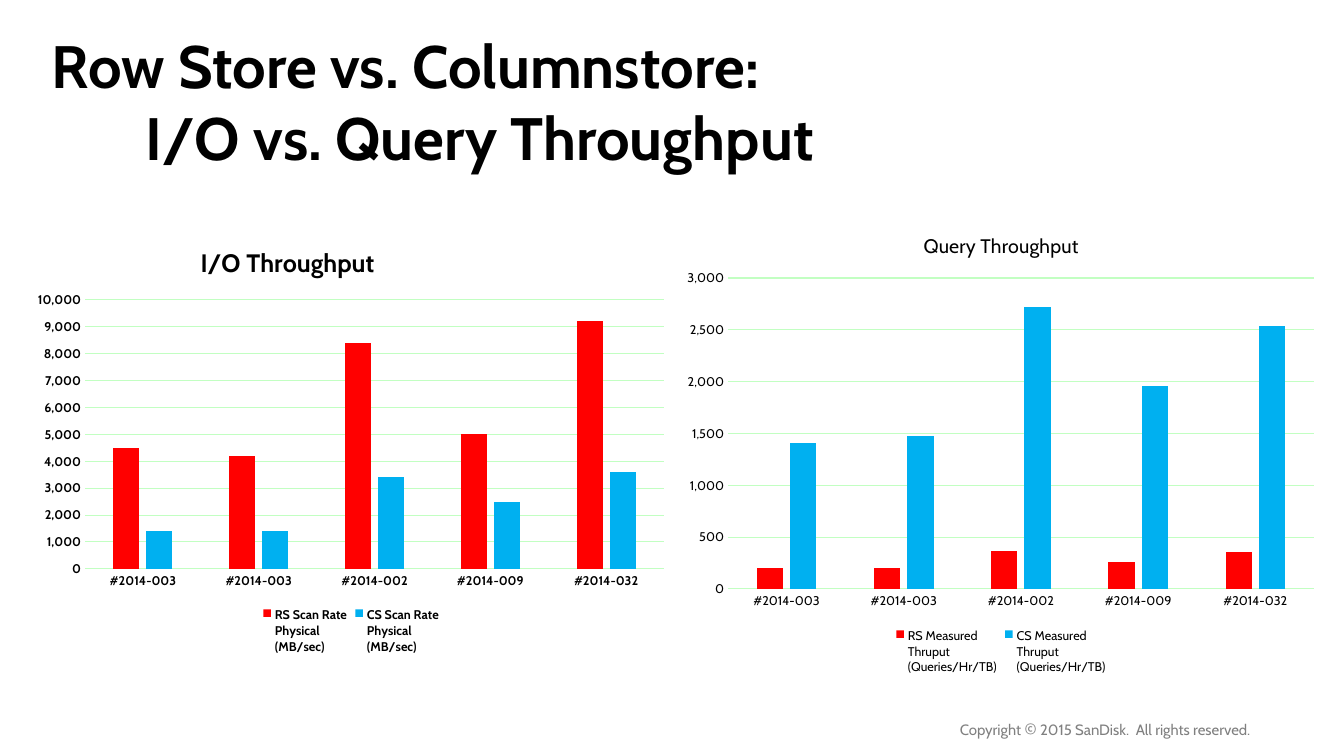
from pptx import Presentation
from pptx.chart.data import CategoryChartData
from pptx.dml.color import RGBColor
from pptx.enum.chart import XL_CHART_TYPE, XL_LEGEND_POSITION, XL_TICK_MARK
from pptx.enum.text import MSO_ANCHOR
from pptx.oxml import parse_xml
from pptx.oxml.ns import nsdecls
from pptx.util import Pt

COLUMNS = XL_CHART_TYPE.COLUMN_CLUSTERED
BOTTOM = XL_LEGEND_POSITION.BOTTOM
NO_TICK = XL_TICK_MARK.NONE
TOP = MSO_ANCHOR.TOP

PX = 914400 / 100.8
FONT = "Cabin"
BLACK, GREY, GRID = "000000", "808080", "C2FFC2"
SERIES_COLORS = ["FF0000", "00B0F0"]

# Content
TITLE = ["Row Store vs. Columnstore:", "I/O vs. Query Throughput"]
COPYRIGHT = [("Copyright ", 10.7), ("©", 12), (" 2015 SanDisk.  All rights reserved.", 10.7)]
DATABASES = ["#2014-003", "#2014-003", "#2014-002", "#2014-009", "#2014-032"]
# Boxes are left, top, width, height in px on the slide
CHARTS = [
    dict(title="I/O Throughput", size=18, bold=True, top=10000, step=1000,
         box=(24, 224, 653, 436), plot=(85, 300, 579, 269),
         heading=(196, 241), legend=(259, 606, 184, 54),
         series={"RS Scan Rate\nPhysical\n(MB/sec)": [4500, 4200, 8400, 5000, 9200],
                 "CS Scan Rate\nPhysical\n(MB/sec)": [1400, 1400, 3400, 2500, 3600]}),
    dict(title="Query Throughput", size=14, bold=False, top=3000, step=500,
         box=(674, 210, 653, 471), plot=(728, 278, 586, 311),
         heading=(920, 229), legend=(892, 626, 218, 54),
         series={"RS Measured\nThruput\n(Queries/Hr/TB)": [200, 200, 370, 260, 360],
                 "CS Measured\nThruput\n(Queries/Hr/TB)": [1410, 1480, 2720, 1960, 2540]}),
]


def px(n):
    return round(n * PX)


def rgb(color):
    return RGBColor.from_string(color)


def set_font(font, size, color=BLACK, bold=False):
    font.name, font.size, font.bold = FONT, Pt(size), bold
    font.color.rgb = rgb(color)


def add_run(p, text, **fmt):
    r = p.add_run()
    r.text = text
    set_font(r.font, **fmt)


def add_box(slide, left, top, width, height, wrap=True):
    tf = slide.shapes.add_textbox(px(left), px(top), px(width), px(height)).text_frame
    tf.word_wrap = wrap
    tf.vertical_anchor = TOP
    return tf


def place(chart, part, box, area, target=""):
    """Fix a chart part at a slide box, as fractions of the chart area."""
    left, top, width, height = area
    values = [(box[0] - left) / width, (box[1] - top) / height]
    values += [n / full for n, full in zip(box[2:], (width, height))]
    edges = "".join(f'<c:{m}Mode val="edge"/>' for m in "xy")
    sizes = "".join(f'<c:{k} val="{v:.4f}"/>' for k, v in zip("xywh", values))
    layout = parse_xml(f'<c:layout {nsdecls("c")}><c:manualLayout>{target}{edges}{sizes}'
                       '</c:manualLayout></c:layout>')
    el = chart._chartSpace.xpath(f"c:chart/c:{part}")[0]
    for old in el.xpath("c:layout"):
        el.remove(old)
    el.insert(0 if part == "plotArea" else 1, layout)


def add_throughput_chart(slide, c):
    data = CategoryChartData(number_format="#,##0")
    data.categories = DATABASES
    for name, values in c["series"].items():
        data.add_series(name, values)
    chart = slide.shapes.add_chart(COLUMNS, *map(px, c["box"]), data).chart
    set_font(chart.font, 10)

    # Heading and legend
    chart.has_title = True
    add_run(chart.chart_title.text_frame.paragraphs[0], c["title"],
            size=c["size"], bold=c["bold"])
    chart.has_legend = True
    chart.legend.position = BOTTOM
    chart.legend.include_in_layout = False
    set_font(chart.legend.font, 9, bold=c["bold"])

    # Columns
    plot = chart.plots[0]
    plot.gap_width, plot.overlap, plot.vary_by_categories = 219, -27, False
    for series, color in zip(plot.series, SERIES_COLORS):
        series.format.fill.solid()
        series.format.fill.fore_color.rgb = rgb(color)

    # Axes
    cat, val = chart.category_axis, chart.value_axis
    for axis in (cat, val):
        axis.major_tick_mark = axis.minor_tick_mark = NO_TICK
        set_font(axis.tick_labels.font, 9, bold=c["bold"])
    val.minimum_scale, val.maximum_scale, val.major_unit = 0, c["top"], c["step"]
    val.tick_labels.number_format = "#,##0"
    val.tick_labels.number_format_is_linked = False
    val.format.line.fill.background()
    val.has_major_gridlines = True
    for line in (cat.format.line, val.major_gridlines.format.line):
        line.color.rgb = rgb(GRID)
        line.width = Pt(0.75)

    place(chart, "title", c["heading"], c["box"])
    place(chart, "plotArea", c["plot"], c["box"], '<c:layoutTarget val="inner"/>')
    place(chart, "legend", c["legend"], c["box"])


prs = Presentation()
prs.slide_width, prs.slide_height = px(1344), px(756)
slide = prs.slides.add_slide(prs.slide_layouts[6])

# Charts
for c in CHARTS:
    add_throughput_chart(slide, c)

# Title, second line indented
tf = add_box(slide, 42, 24, 1290, 154)
for i, line in enumerate(TITLE):
    p = tf.add_paragraph() if i else tf.paragraphs[0]
    p._p.get_or_add_pPr().set("marL", str(px(94 * i)))
    add_run(p, line, size=42.7, bold=True)

# Copyright line
p = add_box(slide, 950, 714, 337, 30, wrap=False).paragraphs[0]
for text, size in COPYRIGHT:
    add_run(p, text, size=size, color=GREY)

prs.save("out.pptx")
